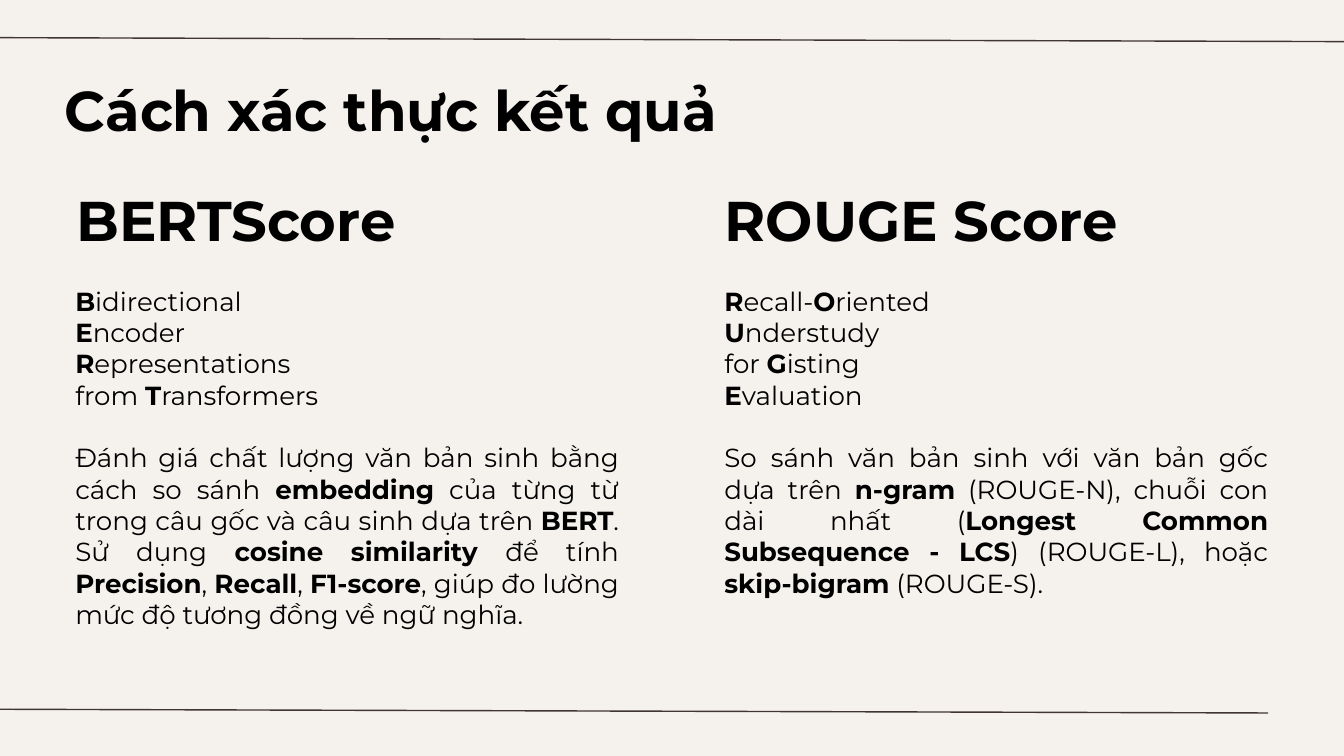
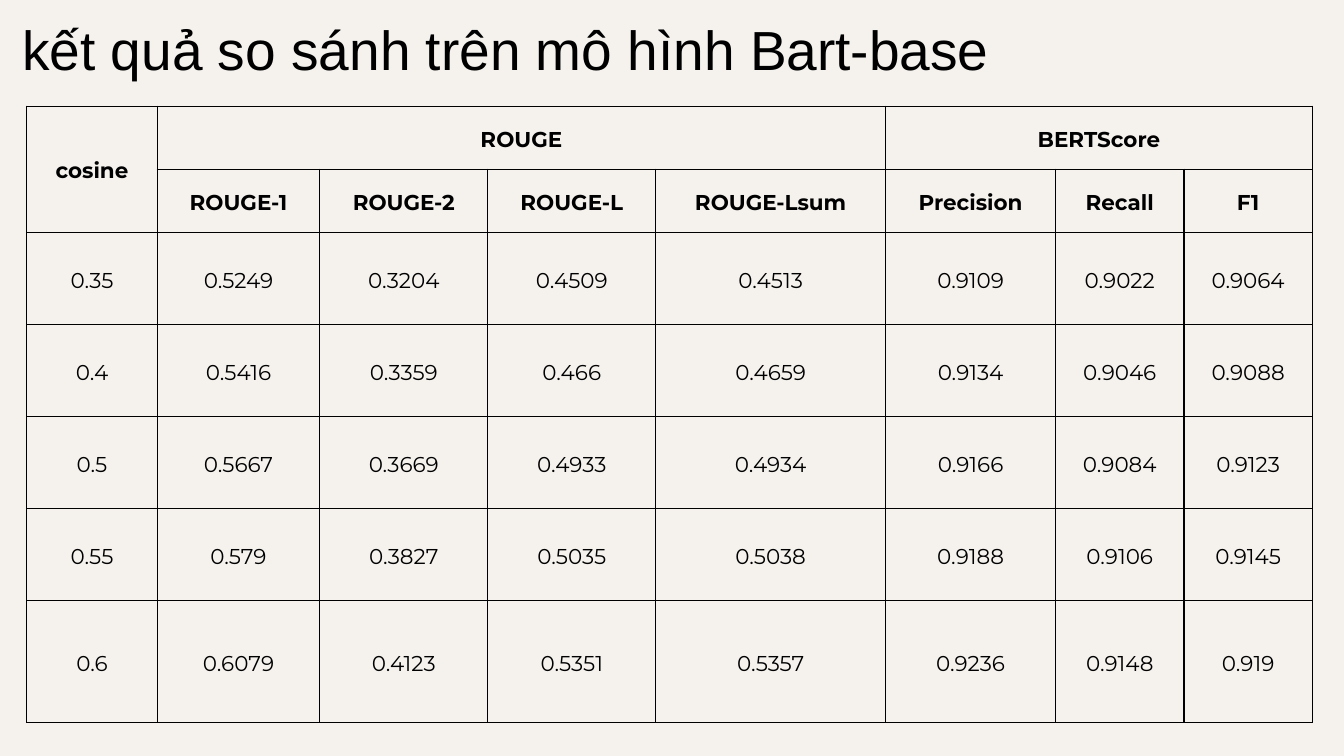
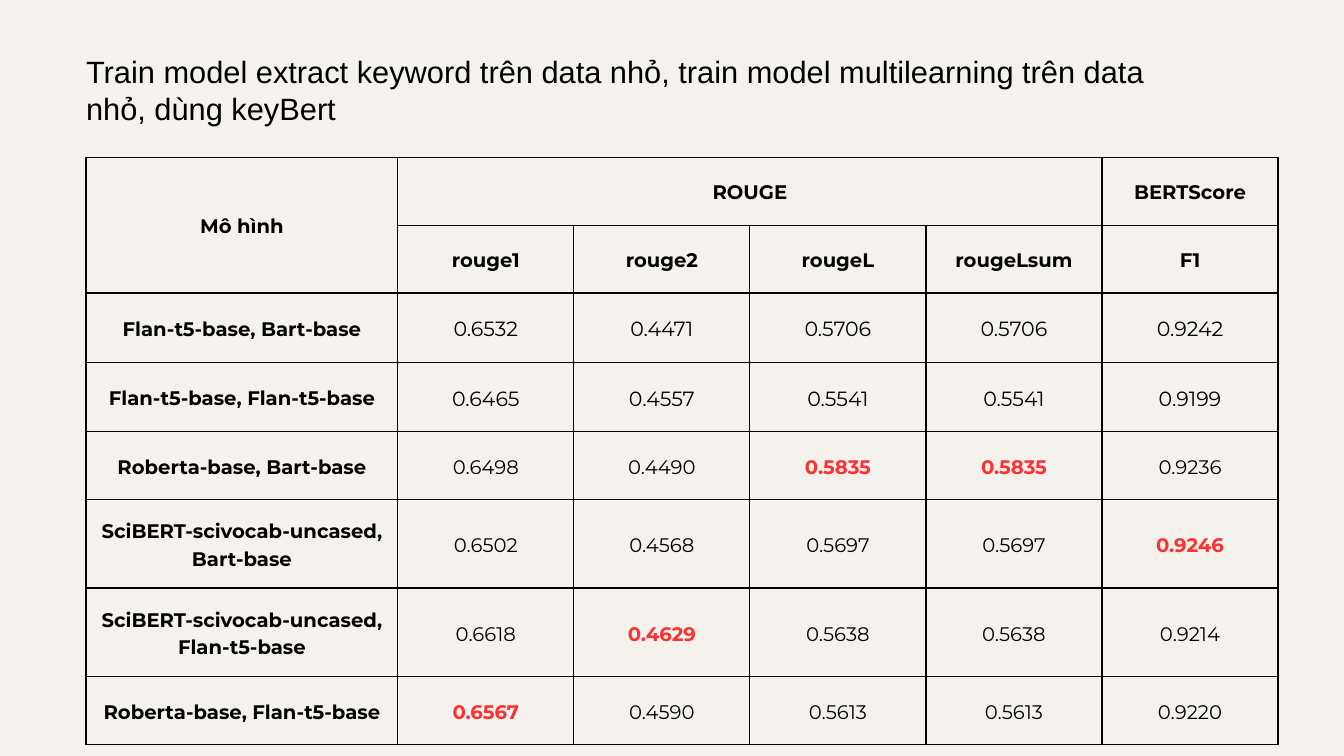
import dataclasses

import pptx
import pptx.dml.color
import pptx.enum.shapes
import pptx.enum.text
import pptx.oxml
import pptx.oxml.ns
import pptx.util

Inches = pptx.util.Inches
Pt = pptx.util.Pt
ALIGN = pptx.enum.text.PP_ALIGN
ANCHOR = pptx.enum.text.MSO_ANCHOR


@dataclasses.dataclass(frozen=True)
class Theme:
    paper: str = "F5F2EE"
    ink: str = "000000"
    rule: str = "3F3533"
    best: str = "FF3131"
    font: str = "Montserrat"
    plain_font: str = "Arial"
    heading: float = 60
    result_title: float = 59
    note_title: float = 33
    body: float = 28
    results: float = 23
    models: float = 21
    models_large: float = 22
    line: float = 1.5
    text_spacing: float = 1.2
    cell_spacing: float = 1.4
    cell_margin: float = 0.21


def color(value):
    return pptx.dml.color.RGBColor.from_string(value)


class Builder:
    def __init__(self, theme):
        self.theme = theme
        self.deck = pptx.Presentation()
        self.deck.slide_width = Inches(20)
        self.deck.slide_height = Inches(11.25)
        fill = self.deck.slide_master.background.fill
        fill.solid()
        fill.fore_color.rgb = color(theme.paper)
        self.page = None

    def add_page(self, layout_name):
        layout = self.deck.slide_layouts.get_by_name(layout_name)
        self.page = self.deck.slides.add_slide(layout)

    def style_run(self, span, size, bold, font=None, ink=None):
        span.font.size = Pt(size)
        span.font.bold = bold
        span.font.name = font or self.theme.font
        span.font.color.rgb = color(ink or self.theme.ink)

    def placeholder(self, index, at):
        box = self.page.placeholders[index]
        box.left, box.top, box.width, box.height = map(Inches, at)
        frame = box.text_frame
        frame.margin_left = frame.margin_right = 0
        frame.margin_top = frame.margin_bottom = 0
        frame.word_wrap = True
        frame.auto_size = pptx.enum.text.MSO_AUTO_SIZE.NONE
        frame.vertical_anchor = ANCHOR.TOP
        return frame

    def style_paragraph(self, para, size, align):
        properties = para._p.get_or_add_pPr()
        properties.set("marL", "0")
        properties.set("indent", "0")
        properties.append(pptx.oxml.parse_xml(f"<a:buNone {pptx.oxml.ns.nsdecls('a')}/>"))
        para.alignment = align
        para.line_spacing = Pt(size * self.theme.text_spacing)
        para.space_before = para.space_after = Pt(0)

    def heading(self, index, text, at, size, align=ALIGN.LEFT, bold=True, font=None):
        frame = self.placeholder(index, at)
        frame.text = text
        para = frame.paragraphs[0]
        self.style_paragraph(para, size, align)
        self.style_run(para.runs[0], size, bold, font)

    def body(self, index, acronym, description, at):
        size = self.theme.body
        frame = self.placeholder(index, at)
        for number, text in enumerate([*acronym, description]):
            para = frame.add_paragraph() if number else frame.paragraphs[0]
            last = number == len(acronym)
            self.style_paragraph(para, size, ALIGN.JUSTIFY if last else ALIGN.LEFT)
            if last:
                para.space_before = Pt(size * self.theme.text_spacing)
            for position, part in enumerate(text.split("**")):
                if part:
                    span = para.add_run()
                    span.text = part
                    self.style_run(span, size, position % 2 == 1)

    def rule(self, x1, y1, x2, y2):
        line = self.page.shapes.add_connector(
            pptx.enum.shapes.MSO_CONNECTOR.STRAIGHT, *map(Inches, (x1, y1, x2, y2)))
        line.line.color.rgb = color(self.theme.rule)
        line.line.width = Pt(self.theme.line)
        effects = pptx.oxml.parse_xml(f"<a:effectLst {pptx.oxml.ns.nsdecls('a')}/>")
        line._element.spPr.append(effects)

    def cell_borders(self, cell):
        properties = cell._tc.get_or_add_tcPr()
        for side in "LRTB":
            properties.append(pptx.oxml.parse_xml(
                f"<a:ln{side} {pptx.oxml.ns.nsdecls('a')} w=\"{Pt(self.theme.line)}\">"
                f"<a:solidFill><a:srgbClr val=\"{self.theme.ink}\"/></a:solidFill>"
                f"</a:ln{side}>"))

    def cell(self, cell, text, size, bold):
        self.cell_borders(cell)
        cell.fill.background()
        margin = Inches(self.theme.cell_margin)
        cell.margin_left = cell.margin_right = margin
        cell.margin_top = cell.margin_bottom = margin
        cell.vertical_anchor = ANCHOR.MIDDLE
        if not text:
            return
        best = text.endswith("*")
        cell.text = text.rstrip("*")
        para = cell.text_frame.paragraphs[0]
        para.alignment = ALIGN.CENTER
        para.line_spacing = Pt(size * self.theme.cell_spacing)
        self.style_run(para.runs[0], size, bold or best,
                       ink=self.theme.best if best else None)

    def table(self, rows, left, top, widths, heights, merges, size,
              bold_names=False, large_rows=(), large_size=None):
        table = self.page.shapes.add_table(
            len(rows), len(widths), Inches(left), Inches(top),
            Inches(sum(widths)), Inches(sum(heights))).table
        table.first_row = table.horz_banding = False
        for column, width in zip(table.columns, widths):
            column.width = Inches(width)
        for row, height in zip(table.rows, heights):
            row.height = Inches(height)
        for r, values in enumerate(rows):
            for c, text in enumerate(values):
                bold = r < 2 or (bold_names and c == 0)
                large = r in large_rows and c > 0
                self.cell(table.cell(r, c), text, large_size if large else size, bold)
        for first, last in merges:
            table.cell(*first).merge(table.cell(*last))


METRICS = [
    ("BERTScore", 1.12, 4.78, 5.03,
     ["**B**idirectional", "**E**ncoder", "**R**epresentations", "from **T**ransformers"],
     "Đánh giá chất lượng văn bản sinh bằng cách so sánh **embedding** của từng từ "
     "trong câu gốc và câu sinh dựa trên **BERT**. Sử dụng** cosine similarity **để tính "
     "**Precision**, **Recall**, **F1-score**, giúp đo lường mức độ tương đồng về ngữ nghĩa."),
    ("ROUGE Score", 10.78, 5.86, 4.58,
     ["**R**ecall-**O**riented", "**U**nderstudy", "for **G**isting", "**E**valuation"],
     "So sánh văn bản sinh với văn bản gốc dựa trên **n-gram** (ROUGE-N), chuỗi con dài nhất "
     "(**Longest Common Subsequence - LCS**) (ROUGE-L), hoặc **skip-bigram** (ROUGE-S)."),
]

COSINE_RESULTS = [
    ["cosine", "ROUGE", "", "", "", "BERTScore", "", ""],
    ["", "ROUGE-1", "ROUGE-2", "ROUGE-L", "ROUGE-Lsum", "Precision", "Recall", "F1"],
    ["0.35", "0.5249", "0.3204", "0.4509", "0.4513", "0.9109", "0.9022", "0.9064"],
    ["0.4", "0.5416", "0.3359", "0.466", "0.4659", "0.9134", "0.9046", "0.9088"],
    ["0.5", "0.5667", "0.3669", "0.4933", "0.4934", "0.9166", "0.9084", "0.9123"],
    ["0.55", "0.579", "0.3827", "0.5035", "0.5038", "0.9188", "0.9106", "0.9145"],
    ["0.6", "0.6079", "0.4123", "0.5351", "0.5357", "0.9236", "0.9148", "0.919"],
]

MODEL_RESULTS = [
    ["Mô hình", "ROUGE", "", "", "", "BERTScore"],
    ["", "rouge1", "rouge2", "rougeL", "rougeLsum", "F1"],
    ["Flan-t5-base, Bart-base", "0.6532", "0.4471", "0.5706", "0.5706", "0.9242"],
    ["Flan-t5-base, Flan-t5-base", "0.6465", "0.4557", "0.5541", "0.5541", "0.9199"],
    ["Roberta-base, Bart-base", "0.6498", "0.4490", "0.5835*", "0.5835*", "0.9236"],
    ["SciBERT-scivocab-uncased, Bart-base", "0.6502", "0.4568", "0.5697", "0.5697", "0.9246*"],
    ["SciBERT-scivocab-uncased, Flan-t5-base", "0.6618", "0.4629*", "0.5638", "0.5638", "0.9214"],
    ["Roberta-base, Flan-t5-base", "0.6567*", "0.4590", "0.5613", "0.5613", "0.9220"],
]

SHARED_MERGES = [((0, 0), (1, 0)), ((0, 1), (0, 4))]


def metrics_page(builder):
    theme = builder.theme
    builder.add_page("Comparison")
    builder.rule(-0.19, 0.56, 20.19, 0.62)
    builder.rule(-1.5, 10.55, 18.87, 10.61)
    builder.heading(0, "Cách xác thực kết quả", (0.96, 1.12, 16.68, 1),
                    theme.heading, ALIGN.JUSTIFY)
    for number, (name, left, width, height, acronym, description) in enumerate(METRICS):
        index = 1 + 2 * number
        builder.heading(index, name, (left, 2.76, width, 1), theme.heading, ALIGN.CENTER)
        builder.body(index + 1, acronym, description, (left, 4.24, 8.09, height))


def cosine_page(builder):
    theme = builder.theme
    builder.add_page("Title Only")
    builder.heading(0, "kết quả so sánh trên mô hình Bart-base", (0.33, 0.23, 19.19, 1.1),
                    theme.result_title, bold=False, font=theme.plain_font)
    builder.table(COSINE_RESULTS, 0.4, 1.58,
                  [1.94, 2.42, 2.5, 2.5, 3.42, 2.53, 1.91, 1.91],
                  [0.94] * 2 + [1.37] * 4 + [1.81],
                  SHARED_MERGES + [((0, 5), (0, 7))], theme.results)


def models_page(builder):
    theme = builder.theme
    builder.add_page("Title Only")
    builder.heading(0, "Train model extract keyword trên data nhỏ, train model multilearning "
                    "trên data nhỏ, dùng keyBert", (1.28, 0.79, 16.61, 1.16),
                    theme.note_title, bold=False, font=theme.plain_font)
    builder.table(MODEL_RESULTS, 1.28, 2.34, [4.64] + [2.62] * 5,
                  [1.01, 1.01, 1.03, 1.03, 1.01, 1.32, 1.32, 1.01],
                  SHARED_MERGES, theme.models, bold_names=True,
                  large_rows=(2, 3), large_size=theme.models_large)


def main():
    builder = Builder(Theme())
    metrics_page(builder)
    cosine_page(builder)
    models_page(builder)
    builder.deck.save("out.pptx")


if __name__ == "__main__":
    main()
